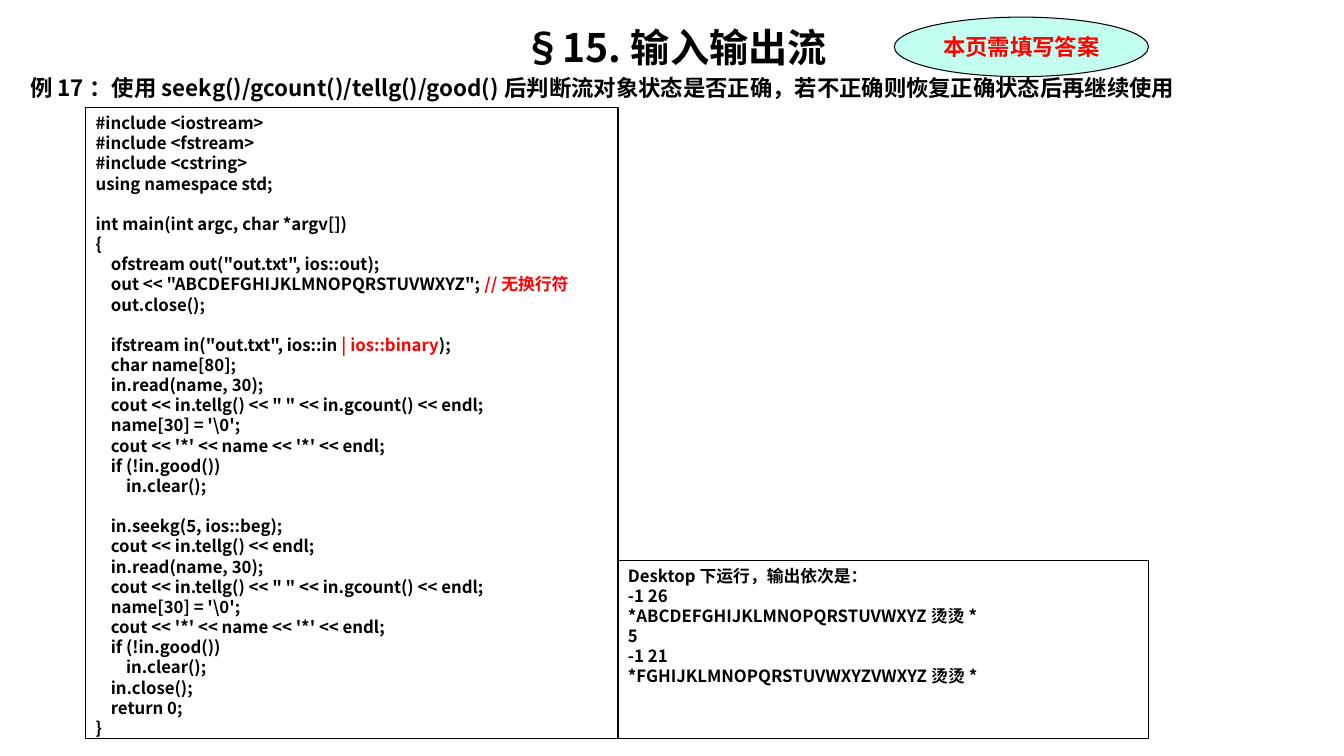
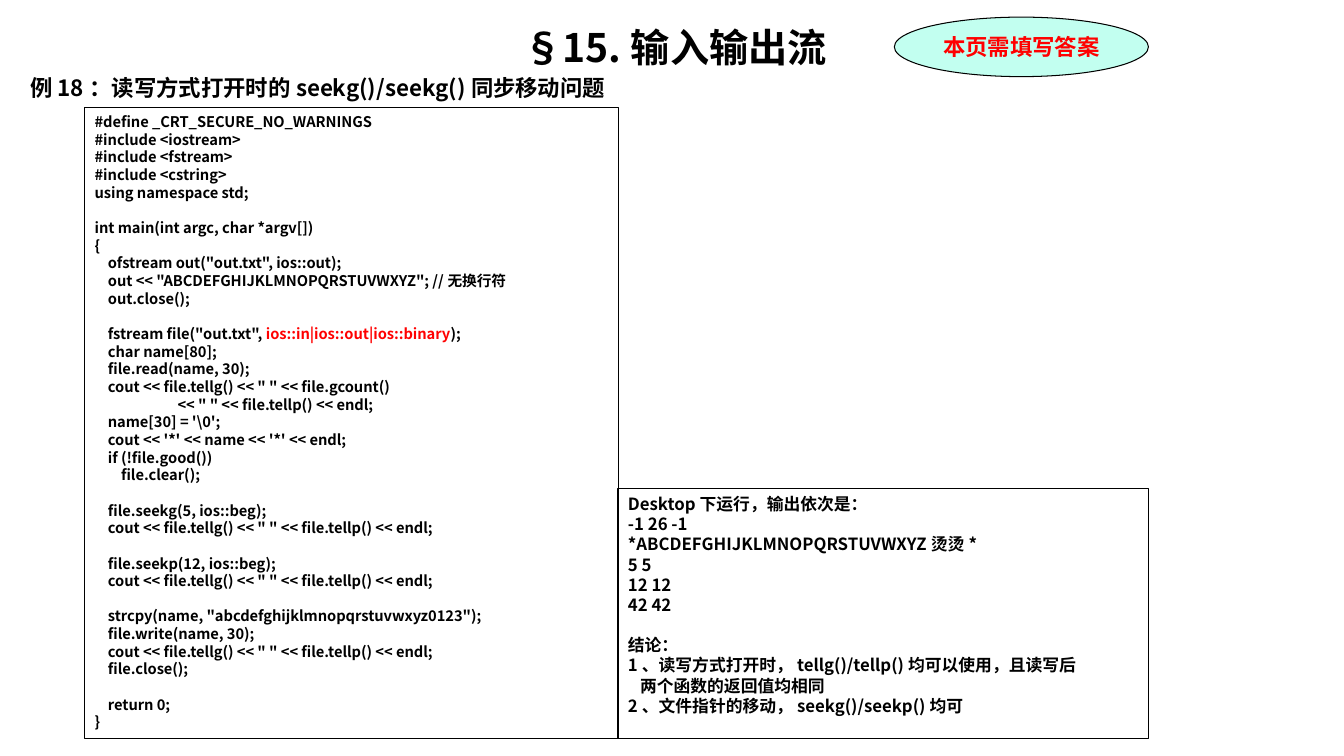
from pptx import Presentation
from pptx.dml.color import RGBColor
from pptx.enum.shapes import MSO_SHAPE
from pptx.enum.text import MSO_ANCHOR, PP_ALIGN
from pptx.oxml.ns import qn
from pptx.util import Inches, Pt
from lxml import etree

RECT, OVAL = MSO_SHAPE.RECTANGLE, MSO_SHAPE.OVAL
TOP, MIDDLE = MSO_ANCHOR.TOP, MSO_ANCHOR.MIDDLE
LEFT, CENTER = PP_ALIGN.LEFT, PP_ALIGN.CENTER
SANS, SERIF = "Noto Sans CJK SC", "Times New Roman"
BLACK, RED, MINT = "000000", "FF0000", "C2FFF0"
TITLE = "§15.输入输出流"
BADGE = "本页需填写答案"
BASE, SPLIT, RIGHT = 7.33, 6.13, 11.39

USES = """#include <iostream>
#include <fstream>
#include <cstring>
using namespace std;"""

SAVE_17 = """int main(int argc, char *argv[])
{
    ofstream out("out.txt", ios::out);
    out << "ABCDEFGHIJKLMNOPQRSTUVWXYZ";~ //无换行符~
    out.close();"""

READ_17 = r'''    ifstream in("out.txt", ios::in~ | ios::binary~);
    char name[80];
    in.read(name, 30);
    cout << in.tellg() << " " << in.gcount() << endl;
    name[30] = '\0';
    cout << '*' << name << '*' << endl;
    if (!in.good())
        in.clear();'''

SEEK_17 = r'''    in.seekg(5, ios::beg);
    cout << in.tellg() << endl;
    in.read(name, 30);
    cout << in.tellg() << " " << in.gcount() << endl;
    name[30] = '\0';
    cout << '*' << name << '*' << endl;
    if (!in.good())
        in.clear();
    in.close();
    return 0;
}'''

READ_18 = r'''    fstream file("out.txt", ~ios::in|ios::out|ios::binary~);
    char name[80];
    file.read(name, 30);
    cout << file.tellg() << " " << file.gcount()
                         << " " << file.tellp() << endl;
    name[30] = '\0';
    cout << '*' << name << '*' << endl;
    if (!file.good())
        file.clear();'''

SEEK_18 = """    file.seekg(5, ios::beg);
    cout << file.tellg() << " " << file.tellp() << endl;

    file.seekp(12, ios::beg);
    cout << file.tellg() << " " << file.tellp() << endl;

    strcpy(name, "abcdefghijklmnopqrstuvwxyz0123");
    file.write(name, 30);
    cout << file.tellg() << " " << file.tellp() << endl;
    file.close();

    return 0;
}"""

OUT_17 = """Desktop下运行，输出依次是：
-1 26
*ABCDEFGHIJKLMNOPQRSTUVWXYZ烫烫*
5
-1 21
*FGHIJKLMNOPQRSTUVWXYZVWXYZ烫烫*"""

OUT_18 = """Desktop下运行，输出依次是：
-1 26 -1
*ABCDEFGHIJKLMNOPQRSTUVWXYZ烫烫*
5 5
12 12
42 42
结论：
1、读写方式打开时，tellg()/tellp()均可以使用，且读写后
两个函数的返回值均相同
2、文件指针的移动，seekg()/seekp()均可"""

PAGES = [
    {"head": "例17：使用seekg()/gcount()/tellg()/good()后判断流对象状态是否正确，"
             "若不正确则恢复正确状态后再继续使用",
     "code": [USES, SAVE_17, READ_17, SEEK_17],
     "size": 12, "left": 0.85, "out": OUT_17, "top": 5.56},
    {"head": "例18：读写方式打开时的seekg()/seekg()同步移动问题",
     "code": ["#define _CRT_SECURE_NO_WARNINGS\n" + USES,
              SAVE_17.replace("~", ""), READ_18, SEEK_18],
     "size": 10.5, "left": 0.84, "out": OUT_18, "top": 4.85},
]


def write(para, text, size, color=BLACK, font=SANS):
    """Fill a paragraph; stretches between tildes turn red."""
    para.line_spacing = Pt(size * 1.2)
    for i, part in enumerate(text.split("~")):
        if not part:
            continue
        run = para.add_run()
        run.text = part
        look = {"name": font, "size": Pt(size), "bold": True}
        for key, value in look.items():
            setattr(run.font, key, value)
        run.font.color.rgb = RGBColor.from_string(RED if i % 2 else color)
        east = etree.SubElement(run.font._element, qn("a:ea"))
        east.set("typeface", SANS)


def panel(slide, kind, box, lines, fill=None, anchor=TOP, align=LEFT, **style):
    """Add an outlined shape with one paragraph per line."""
    shape = slide.shapes.add_shape(kind, *map(Inches, box))
    shape.shadow.inherit = False
    if fill:
        shape.fill.solid()
        shape.fill.fore_color.rgb = RGBColor.from_string(fill)
    else:
        shape.fill.background()
    shape.line.color.rgb = RGBColor.from_string(BLACK)
    shape.line.width = Pt(0.75)
    frame = shape.text_frame
    frame.word_wrap = kind == RECT
    frame.vertical_anchor = anchor
    for i, line in enumerate(lines):
        para = frame.add_paragraph() if i else frame.paragraphs[0]
        para.alignment = align
        write(para, line, **style)
    return frame


deck = Presentation()
deck.slide_width, deck.slide_height = Inches(13.33), Inches(7.5)

for page in PAGES:
    slide = deck.slides.add_slide(deck.slide_layouts[6])

    frame = slide.shapes.add_textbox(
        Inches(0.2), Inches(0.18), Inches(12.99), Inches(7.09)).text_frame
    frame.word_wrap = True
    title = frame.paragraphs[0]
    title.alignment = CENTER
    write(title, TITLE, 28)
    head = frame.add_paragraph()
    head.space_before = Pt(3.2)
    write(head, page["head"], 16)

    panel(slide, OVAL, (8.87, 0.17, 2.52, 0.59), [BADGE], fill=MINT,
          anchor=MIDDLE, align=CENTER, size=16, color=RED, font=SERIF)

    left, top = page["left"], page["top"]
    panel(slide, RECT, (left, 1.07, SPLIT - left, BASE - 1.07),
          "\n\n".join(page["code"]).split("\n"), size=page["size"])
    notes = panel(slide, RECT, (SPLIT, top, RIGHT - SPLIT, BASE - top),
                  page["out"].split("\n"), size=12)
    for para in notes.paragraphs:
        if para.text.startswith("结论"):
            para.space_before = Pt(14.4)
        elif para.text.startswith("两个"):
            para._p.get_or_add_pPr().set("marL", str(Inches(0.12)))

deck.save("out.pptx")
